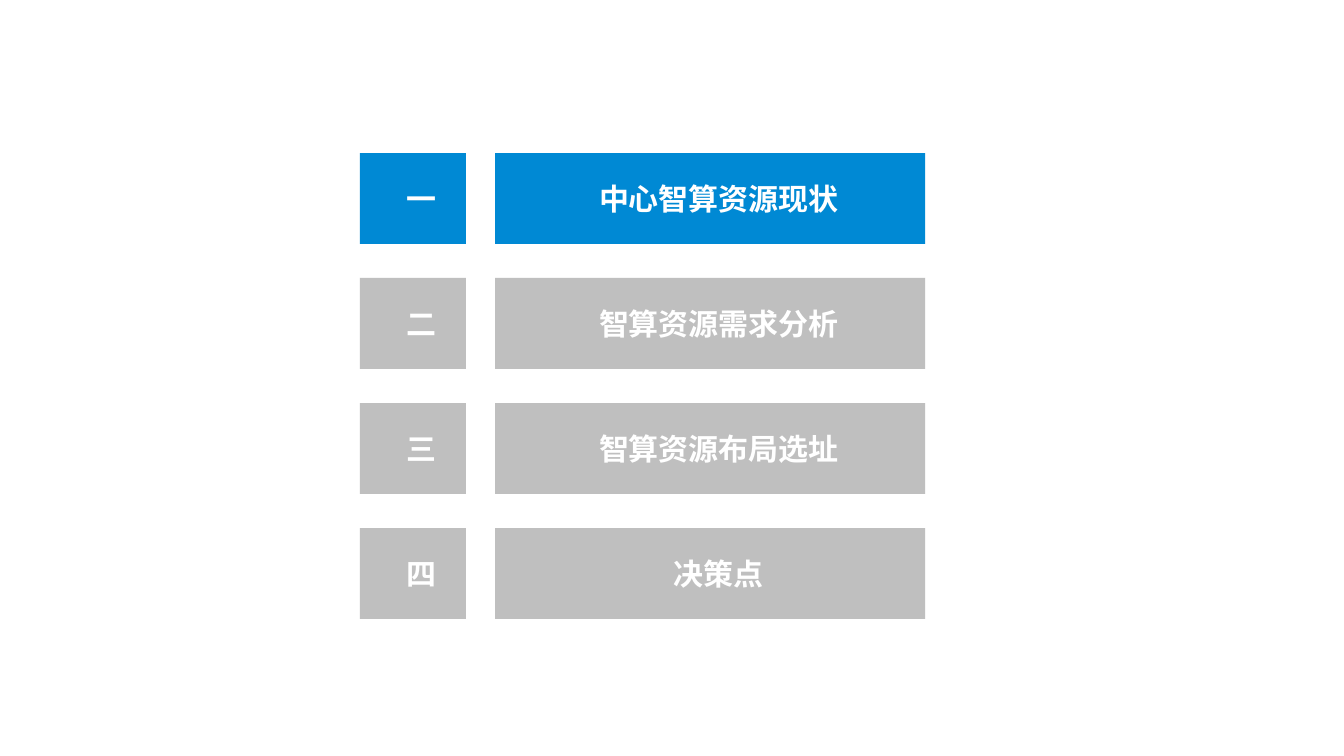
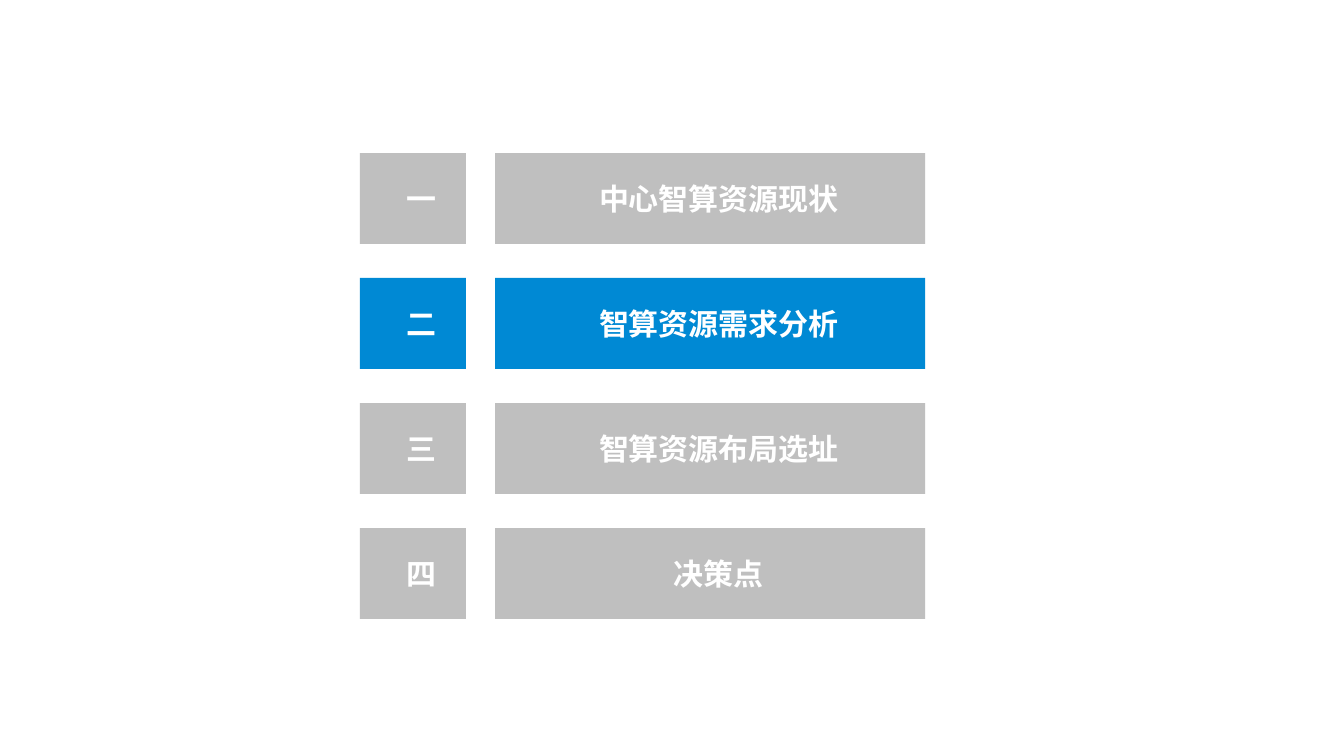
from lxml import etree
from pptx import Presentation
from pptx import util as u
from pptx.dml import color
from pptx.enum import shapes, text
from pptx.oxml import ns

COLORS = {"active": "0089D4", "inactive": "BFBFBF", "text": "FFFFFF"}
FONT = "Noto Sans CJK SC"
SECTIONS = [
    ("一", "中心智算资源现状"),
    ("二", "智算资源需求分析"),
    ("三", "智算资源布局选址"),
    ("四", "决策点"),
]
NUMBER_LEFT, NUMBER_WIDTH = 257.1, 75.7
TITLE_LEFT, TITLE_WIDTH = 353.6, 307.2
FIRST_TOP, ROW_HEIGHT, ROW_PITCH = 109.3, 65, 89.28


def write_text(frame, content, *, size=21.4, bold=True, fill="text",
               align=text.PP_ALIGN.CENTER):
    paragraph = frame.paragraphs[0]
    paragraph.alignment = align
    run = paragraph.add_run()
    run.text = content
    font = run.font
    font.size = u.Pt(size)
    font.bold = bold
    font.name = FONT
    font.color.rgb = color.RGBColor.from_string(COLORS[fill])
    properties = run._r.get_or_add_rPr()
    etree.SubElement(properties, ns.qn("a:ea"), typeface=FONT)


class Deck:
    def __init__(self):
        self.presentation = Presentation()
        self.presentation.slide_width = u.Pt(960)
        self.presentation.slide_height = u.Pt(540)
        self.slide = None

    def add_slide(self):
        blank = self.presentation.slide_layouts[6]
        self.slide = self.presentation.slides.add_slide(blank)

    def add_block(self, content, left, top, width, height, fill):
        shape = self.slide.shapes.add_shape(
            shapes.MSO_SHAPE.RECTANGLE,
            u.Pt(left), u.Pt(top), u.Pt(width), u.Pt(height))
        shape.shadow.inherit = False
        shape.fill.solid()
        shape.fill.fore_color.rgb = color.RGBColor.from_string(COLORS[fill])
        shape.line.fill.background()
        frame = shape.text_frame
        frame.word_wrap = True
        frame.vertical_anchor = text.MSO_ANCHOR.MIDDLE
        frame.margin_left, frame.margin_right = u.Pt(19.4), u.Pt(7.2)
        frame.margin_top = frame.margin_bottom = u.Pt(3.6)
        write_text(frame, content)

    def add_agenda(self, current):
        self.add_slide()
        for index, (number, title) in enumerate(SECTIONS):
            top = FIRST_TOP + index * ROW_PITCH
            fill = "active" if index == current else "inactive"
            self.add_block(number, NUMBER_LEFT, top, NUMBER_WIDTH, ROW_HEIGHT, fill)
            self.add_block(title, TITLE_LEFT, top, TITLE_WIDTH, ROW_HEIGHT, fill)


def main():
    deck = Deck()
    for current in range(2):
        deck.add_agenda(current)
    deck.presentation.save("out.pptx")


if __name__ == "__main__":
    main()
